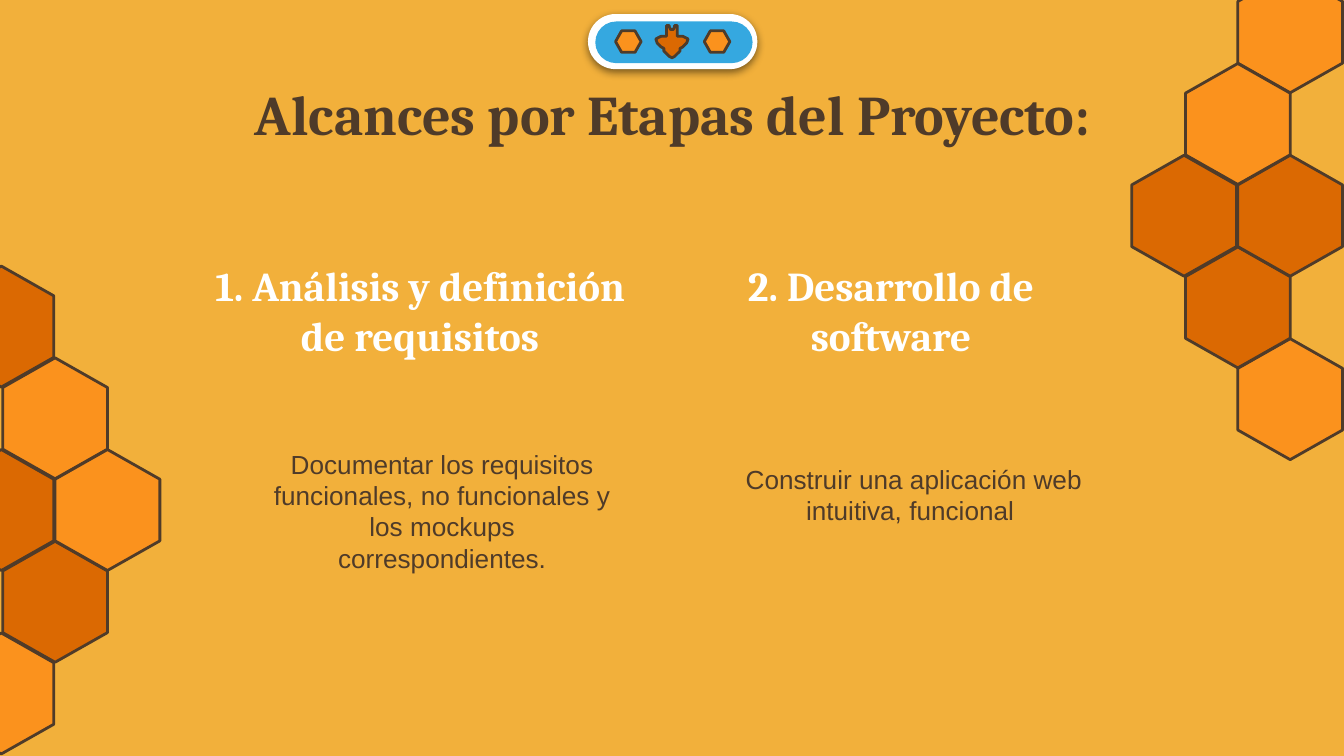
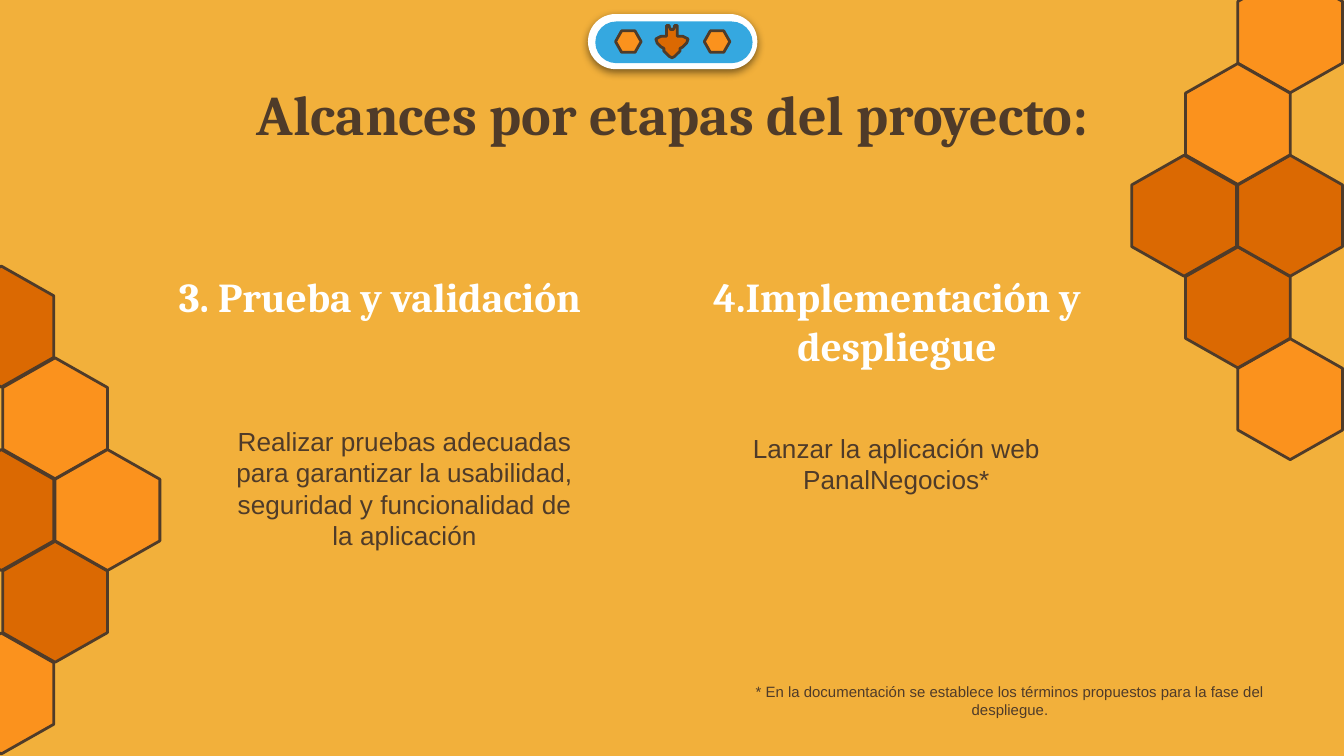
from lxml.etree import SubElement
from pptx import Presentation
from pptx.dml.color import RGBColor
from pptx.enum.shapes import MSO_SHAPE
from pptx.enum.text import MSO_ANCHOR, PP_ALIGN
from pptx.oxml.ns import qn
from pptx.util import Inches, Pt

HONEY = RGBColor(0xF2, 0xB0, 0x3B)
LIGHT = RGBColor(0xFB, 0x92, 0x1D)
DARK = RGBColor(0xDB, 0x69, 0x02)
BROWN = RGBColor(0x4F, 0x3B, 0x29)
BLUE = RGBColor(0x35, 0xA8, 0xE0)
WHITE = RGBColor(0xFF, 0xFF, 0xFF)

TITLE = {"size": Pt(30), "name": "Cambria", "bold": True}
HEADING = {"size": Pt(22), "name": "Cambria", "bold": True}
BODY = {"size": Pt(14), "name": "Arial"}
FOOTNOTE = {"size": Pt(8), "name": "Arial"}

# Honeycombs: left, top and (column, row, colour) of each cell
COLUMN_OFFSETS = (0, 0.4, 0.79)
ROW_PITCH = 2.73 / 4
HONEYCOMBS = (
    (8.36, -0.15, ((2, 4, LIGHT), (1, 3, DARK), (2, 2, DARK),
                   (2, 0, LIGHT), (1, 1, LIGHT), (0, 2, DARK))),
    (-0.44, 2.04, ((0, 4, LIGHT), (1, 3, DARK), (0, 2, DARK),
                   (0, 0, DARK), (1, 1, LIGHT), (2, 2, LIGHT))),
)

# Half of the bee in hundredths of an inch: distance from its axis, height
BEE_AXIS = 500
BEE_HALF = (
    (0, 22), (1, 21.5), (1.5, 20), (2.5, 19), (3.5, 19), (4.5, 20),
    (4.5, 21.5), (3.5, 23), (4.3, 24.5), (4.5, 27), (7.5, 27), (10.5, 28),
    (11.5, 29), (11, 31.5), (10, 33), (8, 35), (5.5, 36), (5.5, 38),
    (5, 39), (4, 40), (2, 42.5), (0, 43),
)

STAGES = (
    {
        "title": "Alcances por Etapas del Proyecto:",
        "headings": (
            ("1. Análisis y definición de requisitos", (1.48, 1.84, 3.29, 1.43)),
            ("2. Desarrollo de software", (5.13, 1.84, 3, 0.82)),
        ),
        "bodies": (
            ("Construir una aplicación web intuitiva, funcional ",
             (5.43, 3.27, 2.74, 0.82)),
            ("Documentar los requisitos funcionales, no funcionales y "
             "los mockups correspondientes.", (1.92, 3.39, 2.74, 0.82)),
        ),
        "footnotes": (),
    },
    {
        "title": "Alcances por etapas del proyecto:",
        "headings": (
            ("3. Prueba y validación ", (1.14, 1.92, 3.44, 0.82)),
            ("4.Implementación y despliegue", (5.05, 1.92, 3.25, 0.82)),
        ),
        "bodies": (
            ("Lanzar la aplicación web PanalNegocios*",
             (5.3, 3.04, 2.74, 0.82)),
            ("Realizar pruebas adecuadas para garantizar la usabilidad, "
             "seguridad y funcionalidad de la aplicación",
             (1.64, 3.22, 2.74, 0.82)),
        ),
        "footnotes": (
            ("* En la documentación se establece los términos propuestos "
             "para la fase del despliegue.", (5.24, 4.92, 4.55, 0.59)),
        ),
    },
)


def paint(shape, fill, line=None, width=1.5):
    shape.shadow.inherit = False
    shape.fill.solid()
    shape.fill.fore_color.rgb = fill
    if line is None:
        shape.line.fill.background()
    else:
        shape.line.color.rgb = line
        shape.line.width = Pt(width)


def add_hexagon(slide, box, fill, rotation=0):
    hexagon = slide.shapes.add_shape(MSO_SHAPE.HEXAGON, *map(Inches, box))
    hexagon.adjustments[0] = 0.283
    hexagon.rotation = rotation
    paint(hexagon, fill, BROWN)


def add_honeycomb(slide, left, top, cells):
    for column, row, fill in cells:
        box = (left + COLUMN_OFFSETS[column], top + row * ROW_PITCH, 0.9, 0.78)
        add_hexagon(slide, box, fill, 270)


def add_pill(slide, box, fill, line=None):
    pill = slide.shapes.add_shape(MSO_SHAPE.ROUNDED_RECTANGLE, *map(Inches, box))
    pill.adjustments[0] = 0.5
    paint(pill, fill, line, 0.75)
    return pill


def add_soft_shadow(shape):
    """Fill the shape's empty effect list with a shadow that falls downwards."""
    effects = shape.element.spPr.find(qn("a:effectLst"))
    shadow = SubElement(effects, qn("a:outerShdw"), blurRad=str(Pt(4.5)),
                        dist=str(Pt(1.5)), dir="5400000", rotWithShape="0")
    tint = SubElement(shadow, qn("a:srgbClr"), val="000000")
    SubElement(tint, qn("a:alpha"), val="49000")


def add_bee(slide):
    left_side = [(BEE_AXIS - x, y) for x, y in BEE_HALF]
    right_side = [(BEE_AXIS + x, y) for x, y in BEE_HALF[-2:0:-1]]
    outline = left_side + right_side
    builder = slide.shapes.build_freeform(*outline[0], scale=Inches(0.01))
    builder.add_line_segments(outline[1:], close=True)
    paint(builder.convert_to_shape(), DARK, BROWN)


def add_badge(slide):
    add_soft_shadow(add_pill(slide, (4.38, 0.11, 1.25, 0.4), WHITE, WHITE))
    add_pill(slide, (4.43, 0.16, 1.17, 0.31), BLUE)
    add_bee(slide)
    for left in (4.58, 5.24):
        add_hexagon(slide, (left, 0.23, 0.19, 0.16), LIGHT)


def add_text(slide, text, box, style, color=BROWN, anchor=MSO_ANCHOR.TOP):
    frame = slide.shapes.add_textbox(*map(Inches, box)).text_frame
    frame.word_wrap = True
    frame.vertical_anchor = anchor
    for side in ("left", "top", "right", "bottom"):
        setattr(frame, f"margin_{side}", Inches(0.1))
    paragraph = frame.paragraphs[0]
    paragraph.alignment = PP_ALIGN.CENTER
    run = paragraph.add_run()
    run.text = text
    for attribute, value in style.items():
        setattr(run.font, attribute, value)
    run.font.color.rgb = color


def add_stage_slide(presentation, stage):
    slide = presentation.slides.add_slide(presentation.slide_layouts[6])
    for left, top, cells in HONEYCOMBS:
        add_honeycomb(slide, left, top, cells)
    for text, box in stage["headings"]:
        add_text(slide, text, box, HEADING, WHITE)
    for text, box in stage["bodies"]:
        add_text(slide, text, box, BODY, anchor=MSO_ANCHOR.MIDDLE)
    add_text(slide, stage["title"], (0.78, 0.49, 8.45, 0.63), TITLE)
    add_badge(slide)
    for text, box in stage["footnotes"]:
        add_text(slide, text, box, FOOTNOTE, anchor=MSO_ANCHOR.MIDDLE)


def main():
    presentation = Presentation()
    presentation.slide_width = Inches(10)
    presentation.slide_height = Inches(10) * 9 // 16
    background = presentation.slide_master.background.fill
    background.solid()
    background.fore_color.rgb = HONEY
    for stage in STAGES:
        add_stage_slide(presentation, stage)
    presentation.save("out.pptx")


if __name__ == "__main__":
    main()
